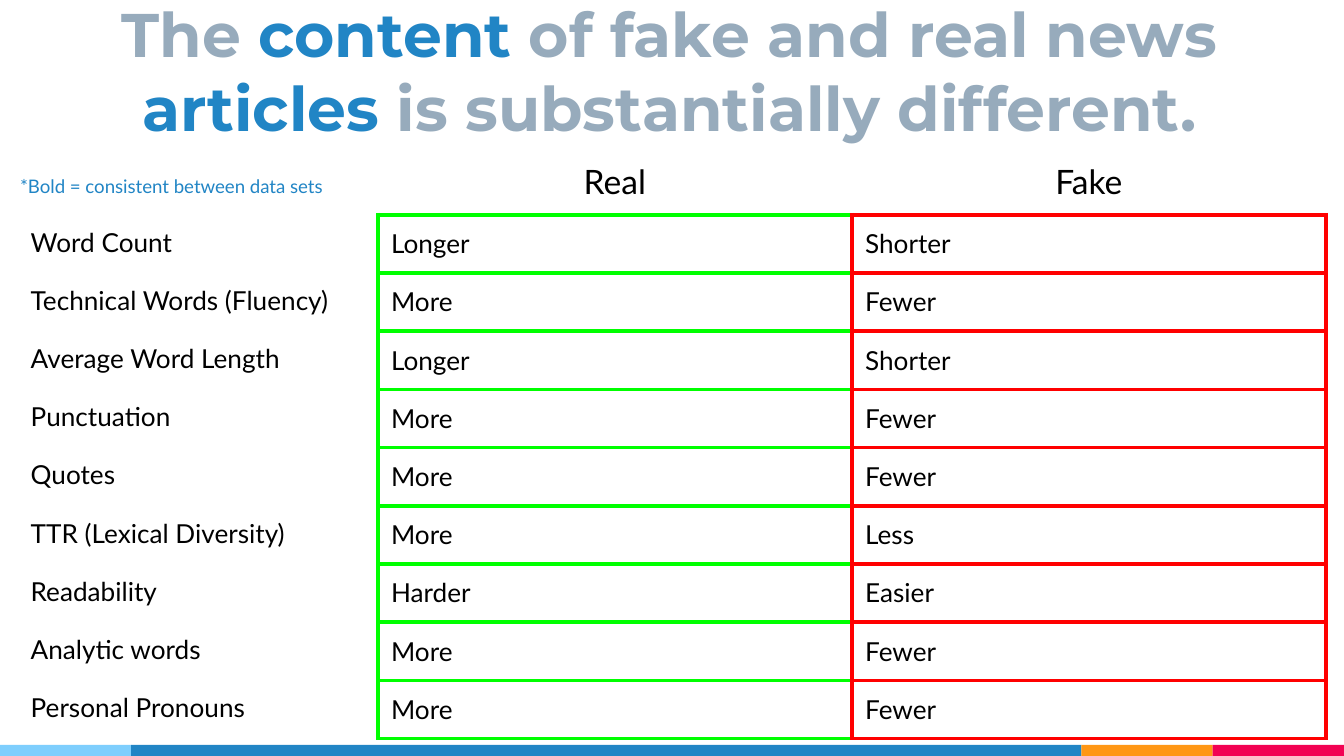
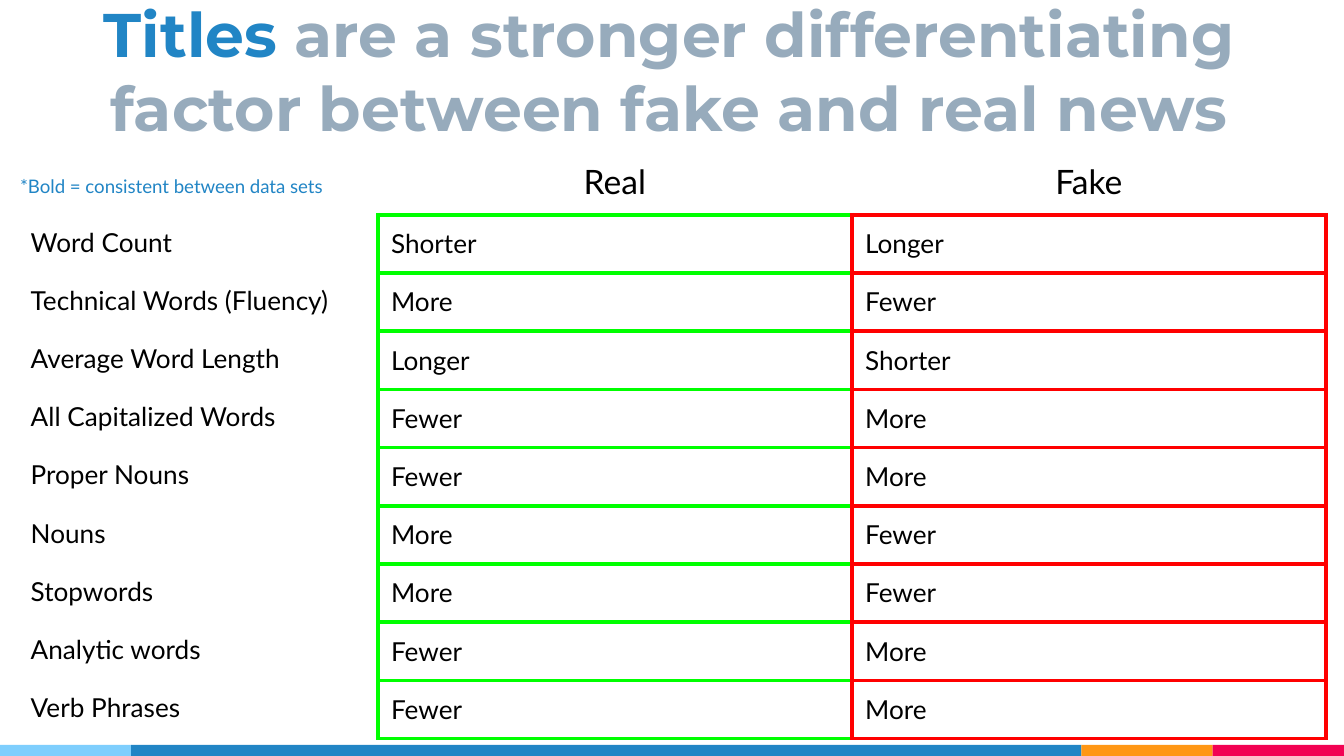
from collections import namedtuple

from lxml.etree import SubElement
from pptx import Presentation
from pptx.dml.color import RGBColor
from pptx.enum.shapes import MSO_SHAPE as Shape
from pptx.enum.text import MSO_ANCHOR as Anchor, PP_ALIGN as Align
from pptx.oxml.ns import qn
from pptx.util import Cm, Pt

BLACK = RGBColor(0x00, 0x00, 0x00)
WHITE = RGBColor(0xFF, 0xFF, 0xFF)
BLUE = RGBColor(0x21, 0x85, 0xC5)
SKY = RGBColor(0x7E, 0xCE, 0xFD)
ORANGE = RGBColor(0xFF, 0x97, 0x15)
PINK = RGBColor(0xF2, 0x02, 0x53)
GREY = RGBColor(0x97, 0xAB, 0xBC)
GREEN = RGBColor(0x00, 0xFF, 0x00)
RED = RGBColor(0xFF, 0x00, 0x00)

TITLE_FONT, BODY_FONT = "Montserrat", "Lato"
INSET = 0.25
ROW_HEIGHT = 1.1

# Boxes are in centimetres
Box = namedtuple("Box", "left top width height")
PAGE = Box(0, 0, 25.4, 14.29)
TITLE = Box(0.33, 0.58, 24.64, 2.39)
NOTE = Box(0.13, 3.1, 6.71, 0.81)
LABELS = Box(0.33, 4.03, 6.71, 9 * ROW_HEIGHT)
ANSWERS = Box(7.14, 4.06, 17.92, 9 * ROW_HEIGHT)


def lengths(box):
    return [Cm(value) for value in box]


def set_insets(target):
    target.margin_left = target.margin_right = Cm(INSET)
    target.margin_top = target.margin_bottom = Cm(INSET)


def style(para, size, color=None, name=BODY_FONT, bold=False):
    para.font.size, para.font.name, para.font.bold = Pt(size), name, bold
    if color is not None:
        para.font.color.rgb = color


def add_text(page, box, spans, size, align=Align.LEFT, anchor=Anchor.TOP,
             name=BODY_FONT, bold=False):
    """Add one paragraph made of (text, colour) spans."""
    frame = page.shapes.add_textbox(*lengths(box)).text_frame
    frame.word_wrap = True
    frame.vertical_anchor = anchor
    set_insets(frame)
    para = frame.paragraphs[0]
    para.alignment = align
    shared = spans[0][1] if len(spans) == 1 else None
    style(para, size, shared, name, bold)
    for text, color in spans:
        span = para.add_run()
        span.text = text
        if shared is None:
            span.font.color.rgb = color


def set_borders(cell, colors, width):
    """Colours run left, right, top, bottom."""
    properties = cell._tc.get_or_add_tcPr()
    for index, (side, color) in enumerate(zip("LRTB", colors)):
        line = SubElement(properties, qn(f"a:ln{side}"), w=str(Pt(width)))
        fill = SubElement(line, qn("a:solidFill"))
        SubElement(fill, qn("a:srgbClr"), val=str(color))
        properties.insert(index, line)


def add_grid(page, box, rows, column_borders, border_width):
    count = len(column_borders)
    table = page.shapes.add_table(len(rows), count, *lengths(box)).table
    table.first_row = table.horz_banding = False
    for column in table.columns:
        column.width = Cm(box.width / count)
    for row, texts in zip(table.rows, rows):
        row.height = Cm(box.height / len(rows))
        for cell, text, colors in zip(row.cells, texts, column_borders):
            cell.text = text
            set_insets(cell)
            style(cell.text_frame.paragraphs[0], 14, BLACK)
            cell.fill.background()
            set_borders(cell, colors, border_width)


def add_bands(page, box):
    """Coloured strip along the bottom edge of the box."""
    short, height = 2.48, 0.21
    left = box.left
    for color, width in ((SKY, short), (BLUE, box.width - 3 * short),
                         (ORANGE, short), (PINK, short)):
        strip = Box(left, box.top + box.height - height, width, height)
        band = page.shapes.add_shape(Shape.RECTANGLE, *lengths(strip))
        band.fill.solid()
        band.fill.fore_color.rgb = color
        band.line.fill.background()
        band.shadow.inherit = False
        left += width


def add_answers(page, box, rows):
    """Real and fake columns with a heading centred above each."""
    width = box.width / 2
    for index, heading in enumerate(("Real", "Fake")):
        place = Box(box.left + index * width, box.top - 1.27, width, 1.47)
        add_text(page, place, [(heading, BLACK)], 18, Align.CENTER)
    add_grid(page, box, rows, [(GREEN, RED, GREEN, GREEN), (RED,) * 4], 2.25)


def add_comparison(deck, title, rows):
    page = deck.slides.add_slide(deck.slide_layouts[6])
    add_bands(page, PAGE)
    add_text(page, TITLE, title, 33, Align.CENTER, Anchor.BOTTOM,
             TITLE_FONT, True)
    add_answers(page, ANSWERS, [row[1:] for row in rows])
    add_grid(page, LABELS, [row[:1] for row in rows], [(WHITE,) * 4], 0.75)
    add_text(page, NOTE, [("*Bold = consistent between data sets", BLUE)], 10)


deck = Presentation()
deck.slide_width, deck.slide_height = Cm(PAGE.width), Cm(PAGE.height)

# Article content
add_comparison(
    deck,
    [("The ", GREY), ("content", BLUE), (" of fake and real news ", GREY),
     ("articles", BLUE), (" is substantially different.", GREY)],
    [("Word Count", "Longer", "Shorter"),
     ("Technical Words (Fluency)", "More", "Fewer"),
     ("Average Word Length", "Longer", "Shorter"),
     ("Punctuation", "More", "Fewer"),
     ("Quotes", "More", "Fewer"),
     ("TTR (Lexical Diversity)", "More", "Less"),
     ("Readability", "Harder", "Easier"),
     ("Analytic words", "More", "Fewer"),
     ("Personal Pronouns", "More", "Fewer")])

# Article titles
add_comparison(
    deck,
    [("Titles", BLUE),
     (" are a stronger differentiating factor between fake and real news",
      GREY)],
    [("Word Count", "Shorter", "Longer"),
     ("Technical Words (Fluency)", "More", "Fewer"),
     ("Average Word Length", "Longer", "Shorter"),
     ("All Capitalized Words", "Fewer", "More"),
     ("Proper Nouns", "Fewer", "More"),
     ("Nouns", "More", "Fewer"),
     ("Stopwords", "More", "Fewer"),
     ("Analytic words", "Fewer", "More"),
     ("Verb Phrases", "Fewer", "More")])

deck.save("out.pptx")
